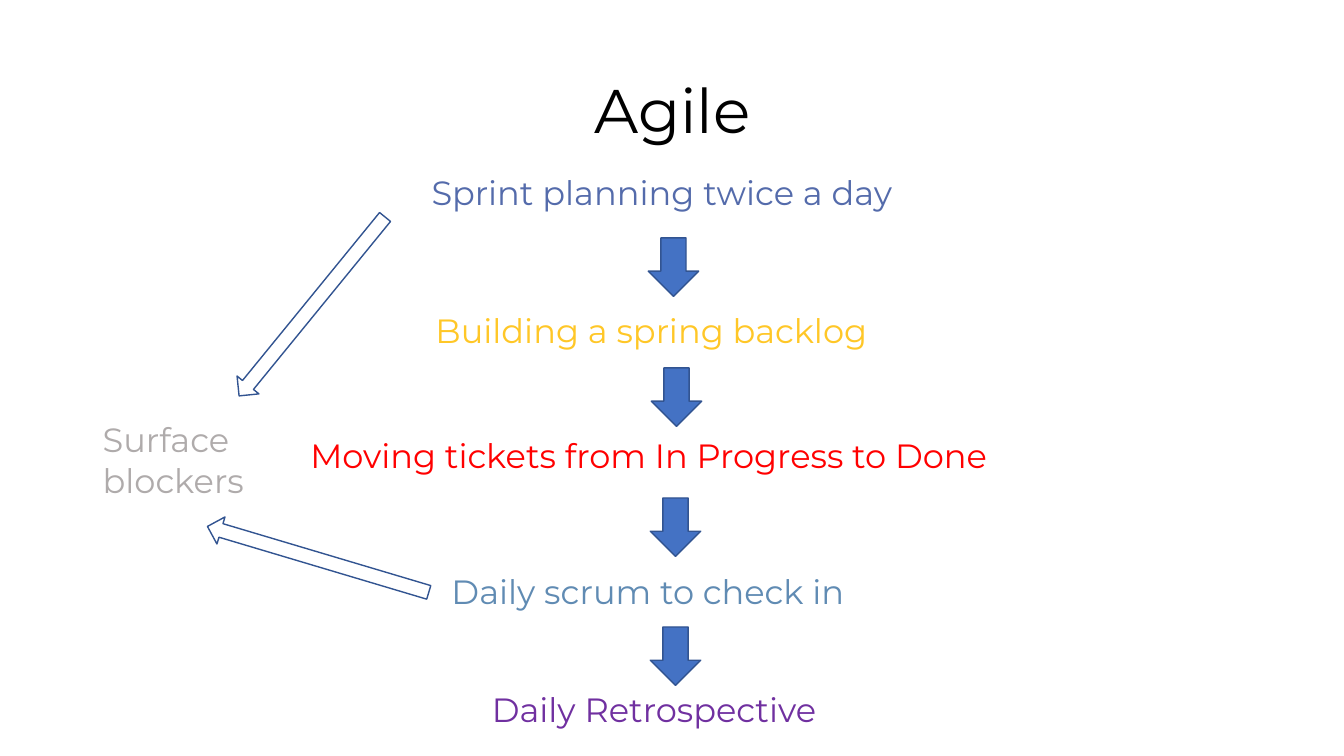
"""Builds the Agile slide: a chain of sprint steps with two links to blockers."""
from typing import NamedTuple

from lxml.etree import SubElement
from pptx import Presentation
from pptx.dml.color import RGBColor
from pptx.enum.shapes import MSO_SHAPE
from pptx.enum.text import MSO_ANCHOR, MSO_AUTO_SIZE, PP_ALIGN
from pptx.oxml.ns import qn
from pptx.util import Inches, Pt

FONT = "Montserrat"
ARROW_FILL = "4472C4"
ARROW_LINE = "325491"


class Label(NamedTuple):
    text: str
    left: float
    top: float
    width: float
    height: float
    color: str


class BlockArrow(NamedTuple):
    left: float
    top: float
    rotation: float = 0


TITLE = Label("Agile", 0.92, 0.4, 11.5, 1.45, "000000")
FIRST_STEP = Label("Sprint planning twice a day", 4.18, 1.7, 5.35, 0.68, "546BAB")
LABELS = [
    Label("Building a spring backlog", 4.22, 3.03, 4.98, 0.5, "FFC727"),
    Label("Moving tickets from In Progress to Done", 2.98, 4.27, 7.75, 0.5, "FF0000"),
    Label("Daily scrum to check in", 4.38, 5.61, 4.56, 0.5, "608BB3"),
    Label("Daily Retrospective", 4.78, 6.79, 3.83, 0.5, "7030A0"),
    Label("Surface blockers", 0.92, 4.11, 2.43, 0.91, "AFABAB"),
]
STEP_ARROWS = [
    BlockArrow(6.43, 2.36),
    BlockArrow(6.46, 3.65),
    BlockArrow(6.45, 4.94),
    BlockArrow(6.45, 6.22),
]
BLOCKER_ARROWS = [BlockArrow(1.95, 2.9, 309.2), BlockArrow(2.01, 5.41, 16.6)]


def rgb(color: str) -> RGBColor:
    return RGBColor.from_string(color)


def write_label(box, label: Label, size: int = 24) -> None:
    box.left, box.top = Inches(label.left), Inches(label.top)
    box.width, box.height = Inches(label.width), Inches(label.height)
    frame = box.text_frame
    frame.text = label.text
    frame.word_wrap = True
    frame.auto_size = MSO_AUTO_SIZE.NONE
    font = frame.paragraphs[0].runs[0].font
    font.name, font.size = FONT, Pt(size)
    font.color.rgb = rgb(label.color)


def fill_title(page) -> None:
    write_label(page.shapes.title, TITLE, 44)
    frame = page.shapes.title.text_frame
    frame.vertical_anchor = MSO_ANCHOR.MIDDLE
    frame.paragraphs[0].alignment = PP_ALIGN.CENTER
    frame.paragraphs[0].line_spacing = 0.9


def fill_first_step(page) -> None:
    body = page.placeholders[1]
    write_label(body, FIRST_STEP)
    para = body.text_frame.paragraphs[0]
    para.line_spacing = 0.9
    para.space_before = Pt(0)
    properties = para._p.get_or_add_pPr()
    properties.set("marL", "0")
    properties.set("indent", "0")
    SubElement(properties, qn("a:buNone"))


def add_arrow(page, arrow: BlockArrow, preset: MSO_SHAPE,
              width: float, height: float, fill: str = "") -> None:
    shape = page.shapes.add_shape(preset, Inches(arrow.left), Inches(arrow.top),
                                  Inches(width), Inches(height))
    shape.rotation = arrow.rotation
    shape.shadow.inherit = False
    if fill:
        shape.fill.solid()
        shape.fill.fore_color.rgb = rgb(fill)
    else:
        shape.fill.background()
    shape.line.color.rgb = rgb(ARROW_LINE)
    shape.line.width = Pt(1)


def main() -> None:
    deck = Presentation()
    deck.slide_width, deck.slide_height = Inches(13.33), Inches(7.5)
    page = deck.slides.add_slide(deck.slide_layouts[1])
    fill_title(page)
    fill_first_step(page)
    for label in LABELS:
        write_label(page.shapes.add_textbox(0, 0, 0, 0), label)
    for arrow in STEP_ARROWS:
        add_arrow(page, arrow, MSO_SHAPE.DOWN_ARROW, 0.5, 0.58, ARROW_FILL)
    for arrow in BLOCKER_ARROWS:
        add_arrow(page, arrow, MSO_SHAPE.LEFT_ARROW, 2.29, 0.28)
    deck.save("out.pptx")


if __name__ == "__main__":
    main()
